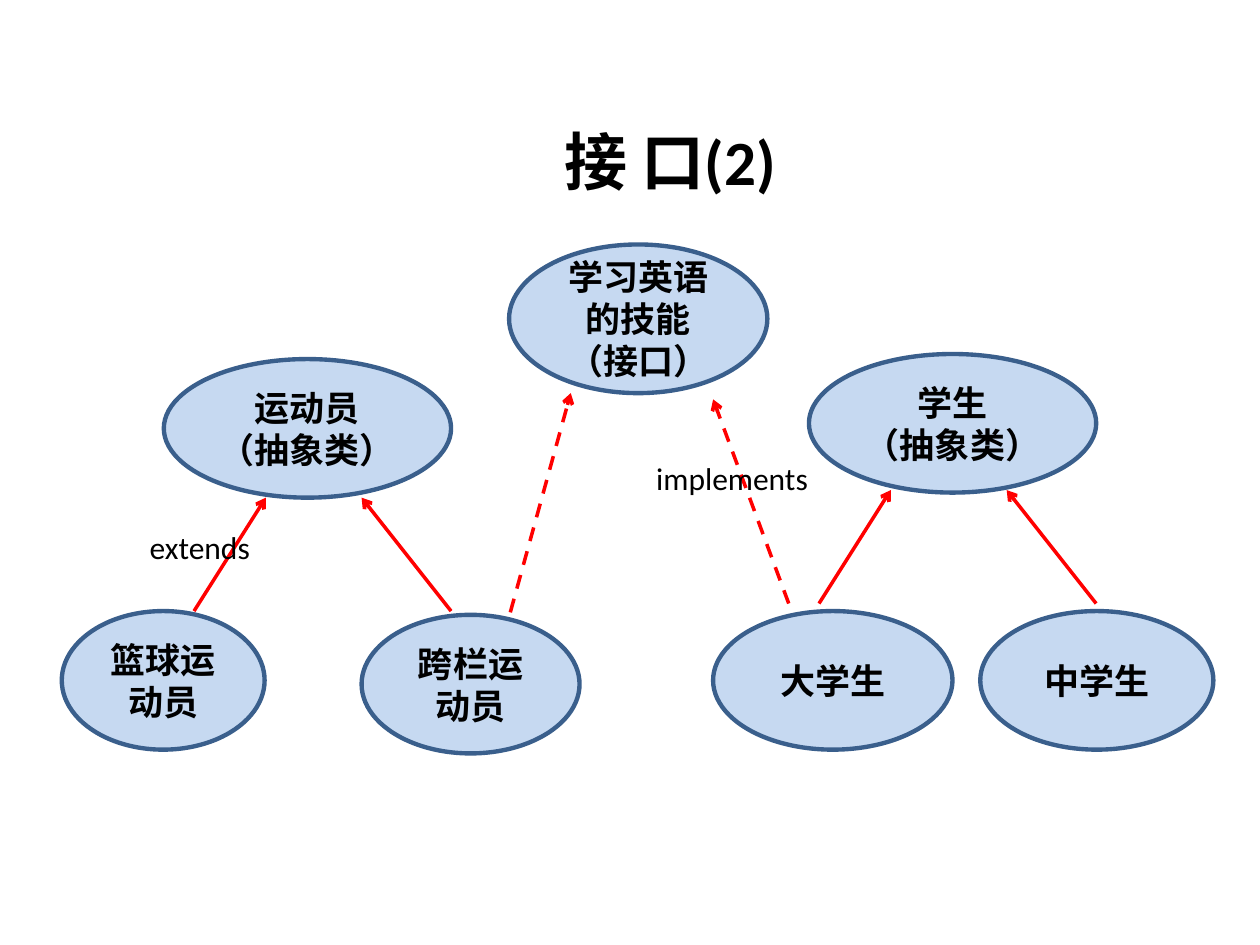
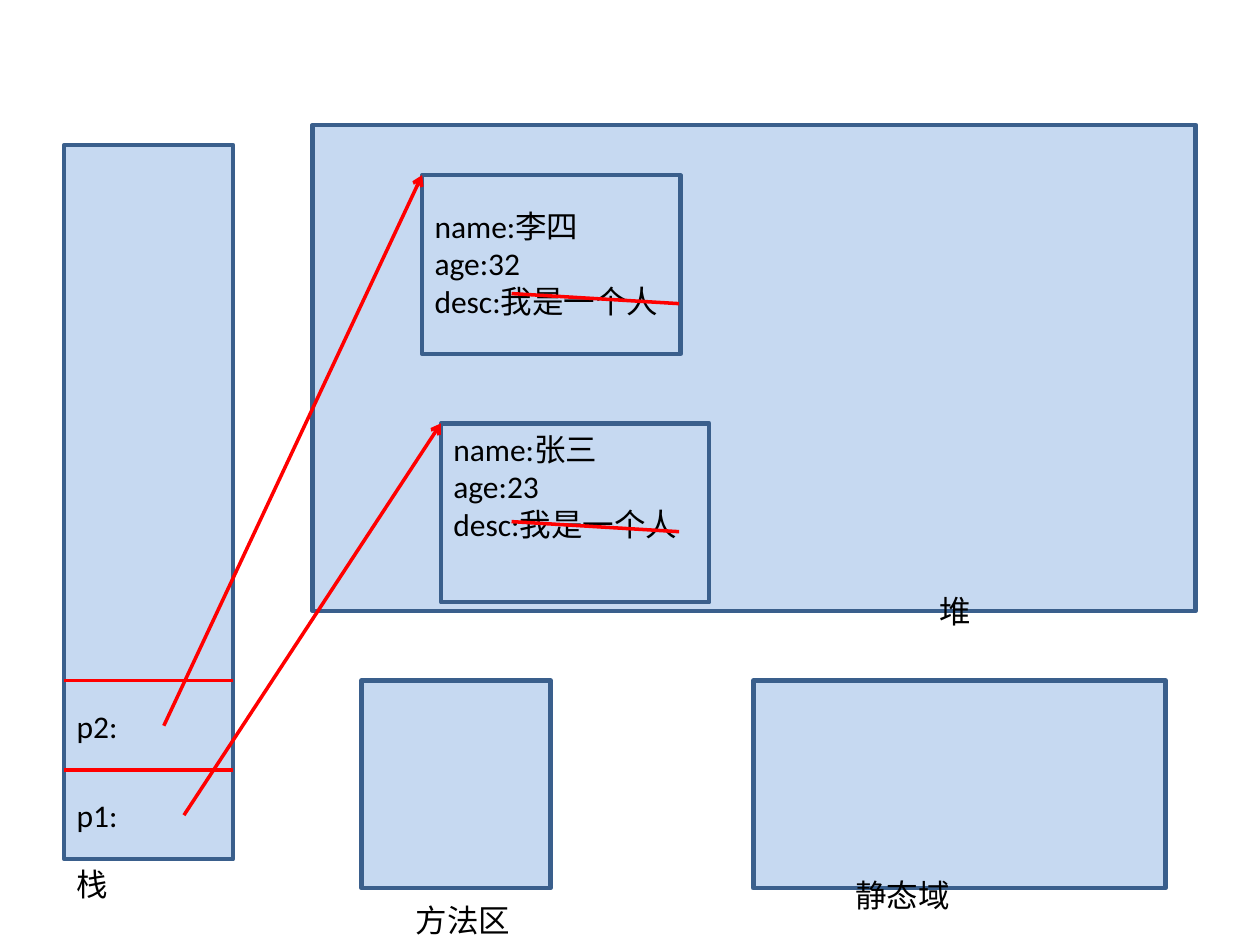
from lxml import etree
from pptx import Presentation
from pptx.dml.color import RGBColor
from pptx.enum import dml, shapes, text
from pptx.oxml import ns
from pptx.util import Inches, Pt

# Shared style
FILL, OUTLINE, RED, BLACK = "C6D9F1", "3A5F8C", "FF0000", "000000"
LATIN, CHINESE = "Calibri", "Noto Sans CJK SC"
TITLE_ONLY, BLANK = 5, 6
LABEL_HEIGHT = 0.4


def color(hex_string):
    return RGBColor.from_string(hex_string)


def add_paragraphs(frame, lines, size, font, bold=False, align=text.PP_ALIGN.LEFT):
    """Write one paragraph with one run for each line."""
    frame.word_wrap = True
    for index, line in enumerate(lines):
        paragraph = frame.paragraphs[0] if index == 0 else frame.add_paragraph()
        paragraph.alignment = align
        run = paragraph.add_run()
        run.text = line
        run.font.size = Pt(size)
        run.font.bold = bold
        run.font.name = font
        run.font.color.rgb = color(BLACK)
        east_asian = etree.SubElement(run.font._element, ns.qn("a:ea"))
        east_asian.set("typeface", CHINESE)


def add_title(slide, box, wording):
    title = slide.shapes.title
    title.left, title.top, title.width, title.height = map(Inches, box)
    title.text_frame.vertical_anchor = text.MSO_ANCHOR.MIDDLE
    add_paragraphs(title.text_frame, [wording], 36, LATIN, True, text.PP_ALIGN.CENTER)


def add_block(slide, kind, box):
    shape = slide.shapes.add_shape(kind, *map(Inches, box))
    shape.shadow.inherit = False
    shape.fill.solid()
    shape.fill.fore_color.rgb = color(FILL)
    shape.line.color.rgb = color(OUTLINE)
    shape.line.width = Pt(2.5)
    return shape


def add_ellipse(slide, box, lines):
    frame = add_block(slide, shapes.MSO_SHAPE.OVAL, box).text_frame
    frame.vertical_anchor = text.MSO_ANCHOR.MIDDLE
    add_paragraphs(frame, lines, 20, CHINESE, True, text.PP_ALIGN.CENTER)


def add_rectangle(slide, box):
    add_block(slide, shapes.MSO_SHAPE.RECTANGLE, box)


def add_label(slide, left, top, width, *lines, height=LABEL_HEIGHT):
    label = slide.shapes.add_textbox(*map(Inches, (left, top, width, height)))
    add_paragraphs(label.text_frame, lines, 18, LATIN)
    label.text_frame.auto_size = text.MSO_AUTO_SIZE.SHAPE_TO_FIT_TEXT


def add_line(slide, start, end, arrow=False, dashed=False):
    line = slide.shapes.add_connector(
        shapes.MSO_CONNECTOR.STRAIGHT, *map(Inches, (*start, *end)))
    line.line.color.rgb = color(RED)
    line.line.width = Pt(2)
    if dashed:
        line.line.dash_style = dml.MSO_LINE.DASH
    if arrow:
        tail = etree.SubElement(line.line._get_or_add_ln(), ns.qn("a:tailEnd"))
        tail.set("type", "arrow")
    etree.SubElement(line._element.spPr, ns.qn("a:effectLst"))


# Slide 1: classes and the interface
def add_family(slide, parent_box, parent_name, children, arrow_foot, first_arrow):
    """An abstract class, its two subclasses and the arrows up to it."""
    left, top, width, height = parent_box
    add_ellipse(slide, parent_box, [parent_name, "（抽象类）"])
    for offset_x, offset_y, child_width, name in children:
        add_ellipse(slide, (left + offset_x, top + offset_y, child_width, height), [name])
    for foot_x, run in ((first_arrow, 0.57), (width, -0.71)):
        add_line(slide, (left + foot_x, top + arrow_foot),
                 (left + foot_x + run, top + arrow_foot - 0.9), arrow=True)


def add_interface(slide, box, implementer_feet):
    """The interface and the dashed arrows from its implementers."""
    left, top, width, height = box
    tips = ((0.49, height), (1.62, height + 0.05))
    for foot, (tip_x, tip_y) in zip(implementer_feet, tips):
        add_line(slide, foot, (left + tip_x, top + tip_y), arrow=True, dashed=True)
    add_ellipse(slide, box, ["学习英语的技能", "（接口）"])


def build_interface_slide(presentation):
    slide = presentation.slides.add_slide(presentation.slide_layouts[TITLE_ONLY])
    add_title(slide, (2.86, 0.84, 4.92, 0.86), "接 口(2)")
    add_family(slide, (1.3, 2.85, 2.28, 1.1), "运动员",
               ((-0.81, 2, 1.61, "篮球运动员"), (1.57, 2.03, 1.73, "跨栏运动员")), 2, 0.24)
    add_family(slide, (6.42, 2.81, 2.28, 1.1), "学生",
               ((-0.76, 2.04, 1.9, "大学生"), (1.36, 2.04, 1.85, "中学生")), 1.98, 0.08)
    add_interface(slide, (4.04, 1.94, 2.05, 1.18), ((4.05, 4.86), (6.26, 4.79)))
    add_label(slide, 1.09, 4.14, 1.46, "extends")
    add_label(slide, 5.11, 3.59, 1.73, "implements")


# Slide 2: memory areas
def add_stack(slide, box, variables, slot_height):
    """The stack, with its variables in slots counted from the bottom."""
    left, top, width, height = box
    add_rectangle(slide, box)
    for index, name in enumerate(variables, 1):
        slot_top = top + height - index * slot_height
        add_line(slide, (left, slot_top), (left + width, slot_top))
        add_label(slide, left, slot_top + 0.16, width, name)


def add_person(slide, box, name, age, text_top, text_width, strike):
    """An object in the heap, with its shared field struck out."""
    left, top = box[:2]
    add_rectangle(slide, box)
    add_label(slide, left, top + text_top, text_width,
              f"name:{name}", f"age:{age}", "desc:我是一个人", height=1.01)
    strike_x, strike_y = left + strike[0], top + strike[1]
    add_line(slide, (strike_x, strike_y), (strike_x + 1.33, strike_y + 0.08))


def add_area(slide, box, name, label_x, label_y):
    """A memory area and the label near its lower edge."""
    left, top, width, height = box
    add_rectangle(slide, box)
    add_label(slide, left + label_x, top + height + label_y, 1.34, name)


def build_memory_slide(presentation):
    slide = presentation.slides.add_slide(presentation.slide_layouts[BLANK])
    stack = (0.51, 1.15, 1.34, 5.67)
    add_stack(slide, stack, ("p1:", "p2:"), 0.71)
    add_label(slide, stack[0], stack[1] + stack[3], stack[2], "栈")
    add_area(slide, (2.48, 0.99, 7.01, 3.86), "堆", 4.88, -0.2)
    add_area(slide, (2.87, 5.4, 1.5, 1.65), "方法区", 0.33, 0.05)
    add_area(slide, (5.98, 5.4, 3.27, 1.65), "静态域", 0.71, -0.15)

    zhang, li = (3.5, 3.36, 2.13, 1.42), (3.35, 1.39, 2.05, 1.42)
    add_person(slide, zhang, "张三", 23, 0, 2.13, (0.56, 0.78))
    add_person(slide, li, "李四", 32, 0.2, 2.28, (0.71, 0.94))

    # References from the stack to the objects
    for start, person in (((1.46, 6.47), zhang), ((1.3, 5.76), li)):
        add_line(slide, start, person[:2], arrow=True)


def main():
    presentation = Presentation()
    presentation.slide_width, presentation.slide_height = Inches(10), Inches(7.5)
    build_interface_slide(presentation)
    build_memory_slide(presentation)
    presentation.save("out.pptx")


if __name__ == "__main__":
    main()
